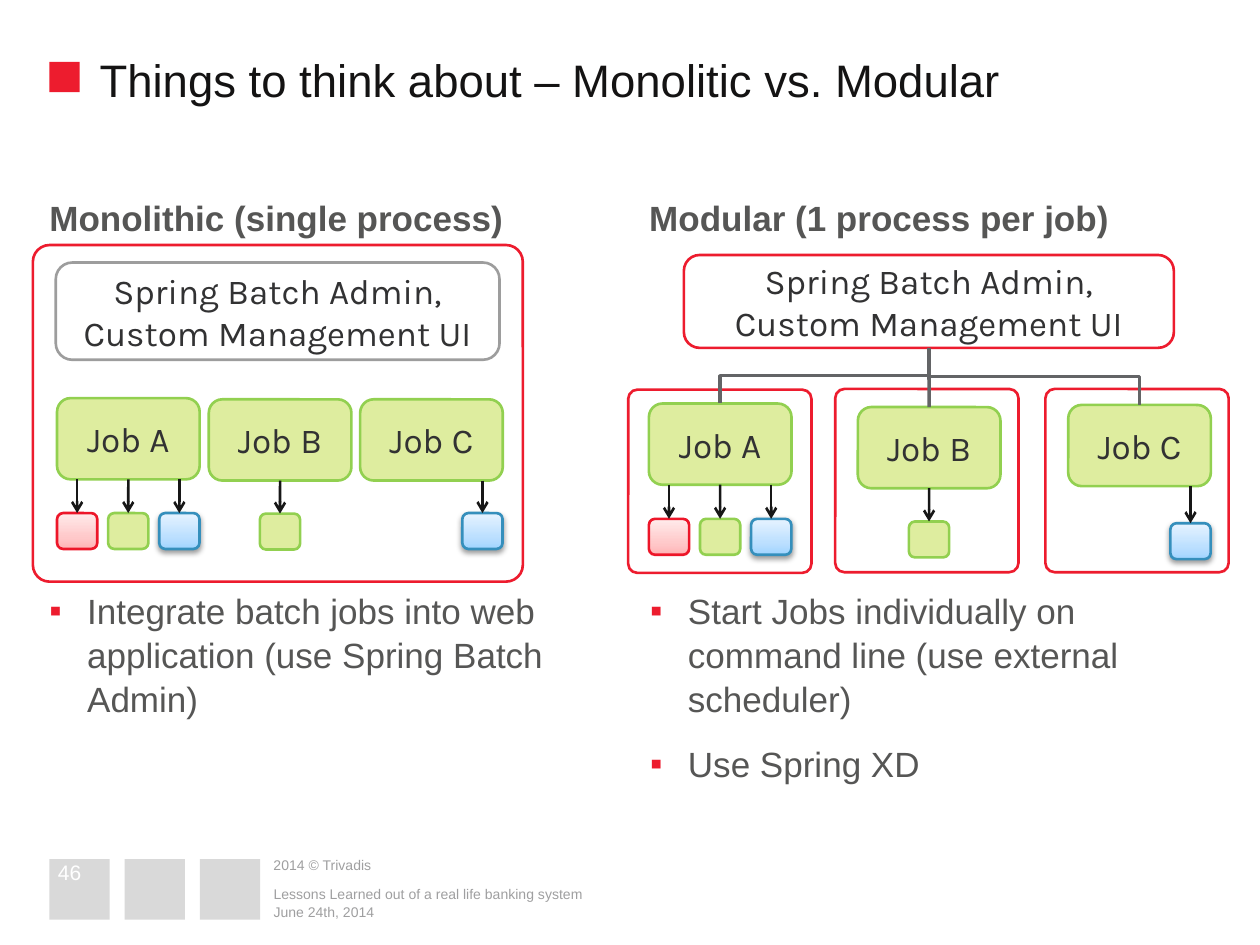
"""Slide comparing a monolithic with a modular batch job setup."""
from copy import deepcopy

from lxml import etree
from pptx import Presentation
from pptx import util as u
from pptx.dml.color import RGBColor
from pptx.enum import shapes, text
from pptx.oxml.ns import qn

Pt = u.Pt
RED = RGBColor(0xED, 0x1C, 0x2E)
WHITE = RGBColor(0xFF, 0xFF, 0xFF)
LIGHT_GREY = RGBColor(0xD9, 0xD9, 0xD9)
BORDER_GREY = RGBColor(0x9D, 0x9D, 0x9D)
FOOTER_GREY = RGBColor(0x9F, 0x9F, 0xA0)
TREE_GREY = RGBColor(0x63, 0x64, 0x66)
BODY_GREY = RGBColor(0x56, 0x56, 0x55)
LABEL_GREY = RGBColor(0x32, 0x32, 0x33)
TITLE_BLACK = RGBColor(0x14, 0x13, 0x13)
ARROW_BLACK = RGBColor(0x17, 0x17, 0x17)
GREEN = RGBColor(0xDE, 0xED, 0x9F)
GREEN_EDGE = RGBColor(0x92, 0xD0, 0x50)
RED_EDGE = RGBColor(0xED, 0x16, 0x29)
BLUE_EDGE = RGBColor(0x35, 0x8F, 0xBC)
PINKS = [RGBColor(0xFF, 0xB4, 0xB6), RGBColor(0xFF, 0xCA, 0xCB), RGBColor(0xFF, 0xEB, 0xEB)]
BLUES = [RGBColor(0xA1, 0xD4, 0xFF), RGBColor(0xBD, 0xE0, 0xFF), RGBColor(0xE6, 0xF3, 0xFF)]

prs = Presentation()
prs.slide_width, prs.slide_height = Pt(720), Pt(540)
s = prs.slides.add_slide(prs.slide_layouts[6])


def add_box(x, y, w, h, fill, edge=None, lines=(), adj=None):
    kind = shapes.MSO_SHAPE.ROUNDED_RECTANGLE if edge else shapes.MSO_SHAPE.RECTANGLE
    sp = s.shapes.add_shape(kind, Pt(x), Pt(y), Pt(w), Pt(h))
    sp.shadow.inherit = False
    if isinstance(fill, list):
        sp.fill.gradient()
        sp.fill.gradient_angle = 90
        stops = sp._element.spPr.find(".//" + qn("a:gsLst"))
        stops.insert(1, deepcopy(stops[0]))
        stops[1].set("pos", "35000")
        for stop, color in zip(sp.fill.gradient_stops, fill):
            stop.color.rgb = color
    else:
        sp.fill.solid()
        sp.fill.fore_color.rgb = fill
    if edge:
        sp.line.color.rgb = edge
        sp.line.width = Pt(1.5)
    else:
        sp.line.fill.background()
    if adj:
        sp.adjustments[0] = adj
    if lines:
        tf = sp.text_frame
        tf.word_wrap = True
        tf.vertical_anchor = text.MSO_ANCHOR.MIDDLE
        p = tf.paragraphs[0]
        p.alignment = text.PP_ALIGN.CENTER
        for i, line in enumerate(lines):
            if i:
                p.add_line_break()
            r = p.add_run()
            r.text = line
            r.font.name, r.font.size = "Karla", Pt(20)
            r.font.color.rgb = LABEL_GREY
    return sp


def add_text(x, y, w, h, paras, size, color, anchor=text.MSO_ANCHOR.TOP, bold=False, bullet=False):
    tf = s.shapes.add_textbox(Pt(x), Pt(y), Pt(w), Pt(h)).text_frame
    tf.word_wrap = True
    tf.vertical_anchor = anchor
    tf.margin_left = tf.margin_top = tf.margin_right = tf.margin_bottom = 0
    for i, line in enumerate(paras):
        p = tf.add_paragraph() if i else tf.paragraphs[0]
        if bullet:
            p.line_spacing = 1.05
            if i:
                p.space_before = Pt(12)
            pPr = p._p.get_or_add_pPr()
            pPr.set("marL", str(Pt(21.6)))
            pPr.set("indent", str(-Pt(21.6)))
            bu_color = etree.SubElement(pPr, qn("a:buClr"))
            etree.SubElement(bu_color, qn("a:srgbClr")).set("val", str(RED))
            etree.SubElement(pPr, qn("a:buFont")).set("typeface", "Arial")
            etree.SubElement(pPr, qn("a:buChar")).set("char", "▪")
        r = p.add_run()
        r.text = line
        r.font.name, r.font.size, r.font.bold = "Arial", Pt(size), bold
        r.font.color.rgb = color


for i in range(3):
    add_box(28.2 + 43 * i, 491, 34.5, 34.5, LIGHT_GREY)
add_box(28.2, 35.4, 17.3, 17.3, RED)
add_text(56.9, 29.6, 644, 29, ["Things to think about – Monolitic vs. Modular"], 26, TITLE_BLACK)
add_text(371, 112.5, 322, 343, ["Modular (1 process per job)"], 20, BODY_GREY, bold=True)
add_text(28.2, 112.5, 322, 173, ["Monolithic (single process)"], 20, BODY_GREY, bold=True)

MIDDLE, BOTTOM = text.MSO_ANCHOR.MIDDLE, text.MSO_ANCHOR.BOTTOM
for x, y, w, h, line, size, color, anchor in [
    (156.3, 489, 97, 11, "2014 © Trivadis", 8, FOOTER_GREY, MIDDLE),
    (156.3, 502.6, 386, 13, "Lessons Learned out of a real life banking system", 8, FOOTER_GREY, BOTTOM),
    (156.3, 512.6, 386, 13, "June 24th, 2014", 8, FOOTER_GREY, BOTTOM),
    (33.1, 492.5, 34.5, 12.2, "46", 12, WHITE, MIDDLE),
]:
    add_text(x, y, w, h, [line], size, color, anchor)

ADMIN = ["Spring Batch Admin,", "Custom Management UI"]
add_box(18.8, 140, 280, 192.4, WHITE, RED, adj=0.05)
add_box(31.9, 150, 253.6, 55.6, WHITE, BORDER_GREY, ADMIN, 0.17)
admin = add_box(390.8, 145.7, 280, 53.1, WHITE, RED, ADMIN, 0.17)
for x, y in [(359, 222.7), (477.3, 222.3), (597.4, 222.3)]:
    add_box(x, y, 104.7, 104.7, WHITE, RED, adj=0.05)

JOB_W, JOB_H = 81.5, 46.4
STEP_W, STEP_H, STEP_GAP = 23, 20.5, 29.2
STEPS = [(PINKS, RED_EDGE), (GREEN, GREEN_EDGE), (BLUES, BLUE_EDGE)]
STRAIGHT, ELBOW = shapes.MSO_CONNECTOR.STRAIGHT, shapes.MSO_CONNECTOR.ELBOW
arrows, jobs = [], []
for name, x, y, step_y, columns in [
    ("Job A", 32.6, 227.5, 293.2, [0, 1, 2]),
    ("Job B", 119.3, 228.2, 293.5, [1]),
    ("Job C", 205.8, 228.2, 293.2, [2]),
    ("Job A", 370.8, 230.6, 296.5, [0, 1, 2]),
    ("Job B", 490.2, 232.6, 298, [1]),
    ("Job C", 610.4, 231.4, 299, [2]),
]:
    job = add_box(x, y, JOB_W, JOB_H, GREEN, GREEN_EDGE, [name])
    jobs.append(job)
    for col in columns:
        step_x = x + STEP_GAP * col
        step = add_box(step_x, step_y, STEP_W, STEP_H, *STEPS[col])
        if STEPS[col][0] is BLUES:
            effects = step._element.spPr.find(qn("a:effectLst"))
            shadow = etree.SubElement(effects, qn("a:outerShdw"), blurRad=str(Pt(3.1)),
                                      dist=str(Pt(1.6)), dir="5400000", rotWithShape="0")
            black = etree.SubElement(shadow, qn("a:srgbClr"), val="000000")
            etree.SubElement(black, qn("a:alpha"), val="38000")
        mid = Pt(step_x + STEP_W / 2)
        arrow = s.shapes.add_connector(STRAIGHT, mid, Pt(y + JOB_H), mid, Pt(step_y))
        if col == 1:
            arrow.begin_connect(job, 2)
        arrow.end_connect(step, 0)
        arrows.append(arrow)

tree = []
start_x, start_y = admin.left + admin.width // 2, admin.top + admin.height
for job in jobs[3:]:
    dx, dy = job.left + job.width // 2 - start_x, job.top - start_y
    if abs(dx) < Pt(1):
        branch = s.shapes.add_connector(STRAIGHT, start_x, start_y, start_x, job.top)
        branch.begin_connect(admin, 2)
        branch.end_connect(job, 0)
    else:
        cx, cy = start_x + dx // 2, start_y + dy // 2
        branch = s.shapes.add_connector(
            ELBOW, cx - dy // 2, cy + dx // 2, cx + dy // 2, cy - dx // 2)
        branch._element.spPr.find(qn("a:xfrm")).set("rot", "5400000")
    tree.append(branch)

for group, color, width in [(arrows, ARROW_BLACK, 1.5), (tree, TREE_GREY, 2)]:
    for line in group:
        line.line.color.rgb = color
        line.line.width = Pt(width)
        spPr = line._element.spPr
        etree.SubElement(spPr, qn("a:effectLst"))
        if group is arrows:
            etree.SubElement(spPr.find(qn("a:ln")), qn("a:tailEnd"), type="arrow")

add_text(28.2, 335.8, 322, 132.5,
         ["Integrate batch jobs into web application (use Spring Batch Admin)"],
         20, BODY_GREY, bullet=True)
add_text(371.5, 335.8, 322, 132.5,
         ["Start Jobs individually on command line (use external scheduler)", "Use Spring XD"],
         20, BODY_GREY, bullet=True)

prs.save("out.pptx")
